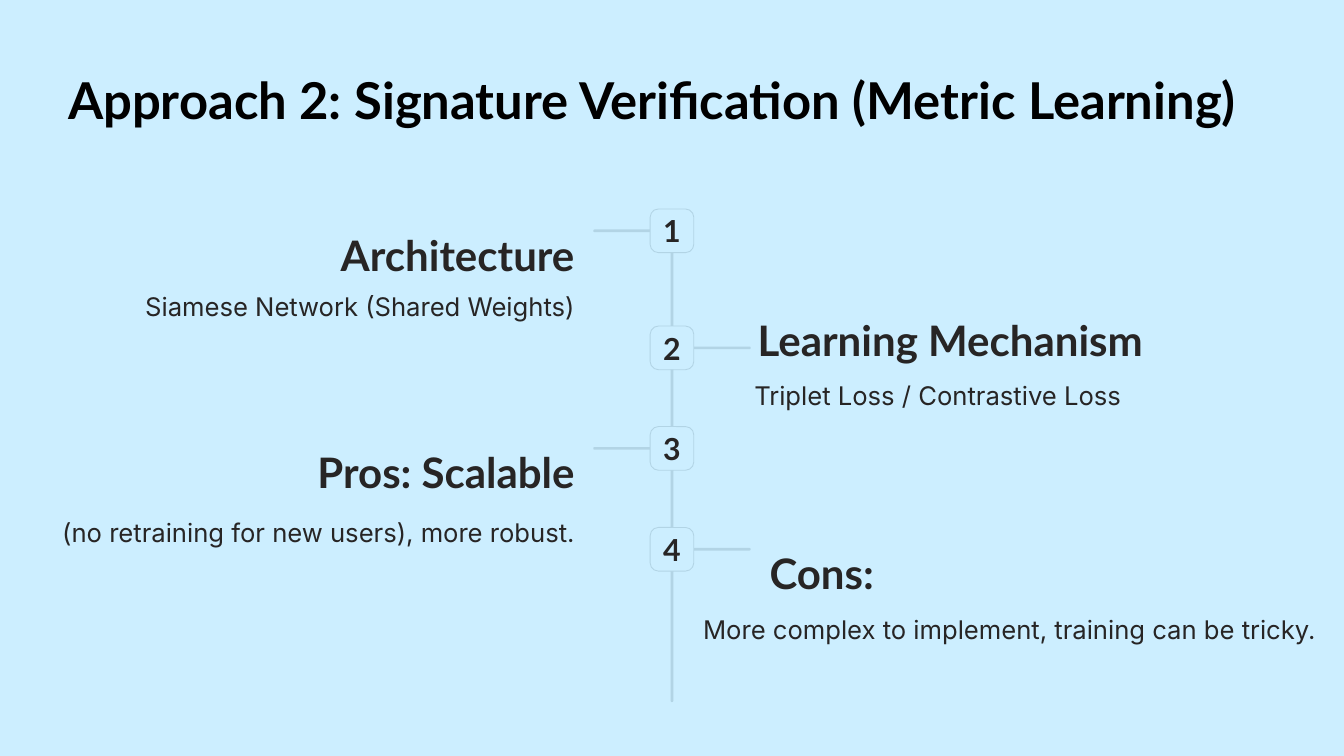
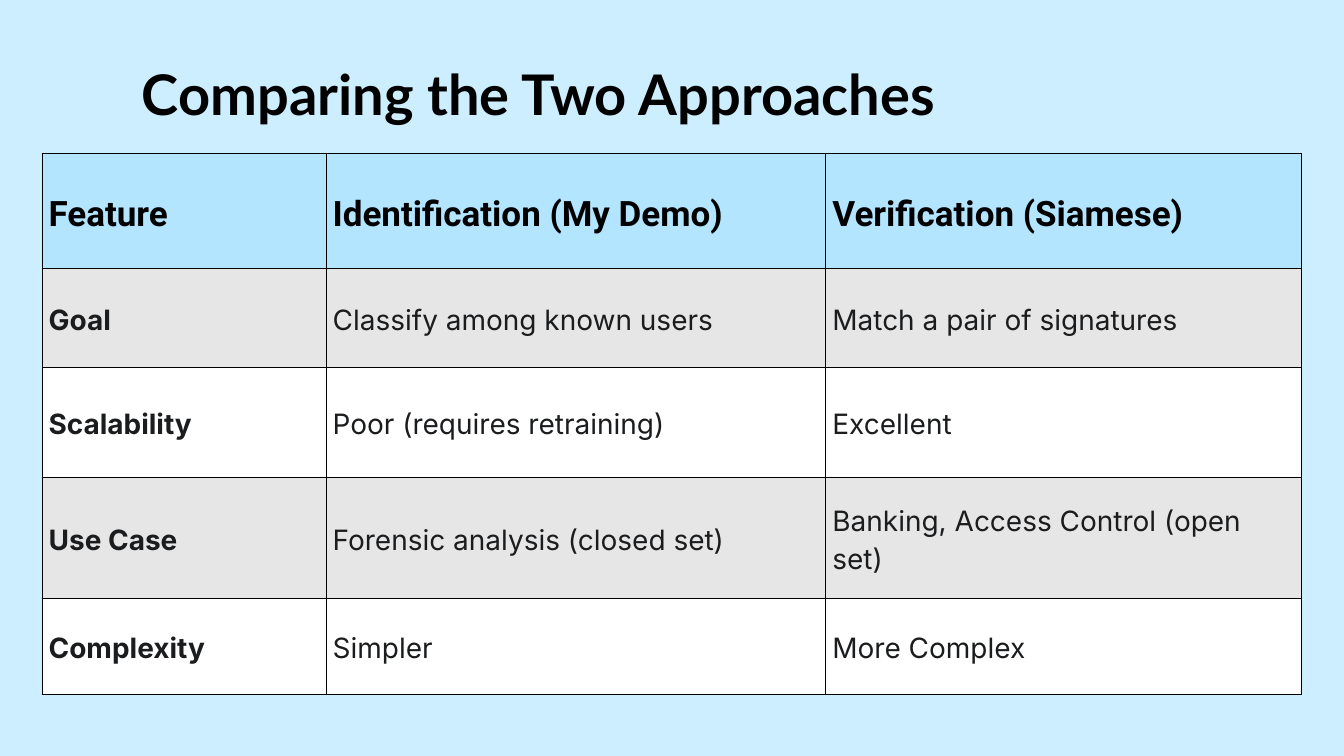
from dataclasses import dataclass

from lxml.etree import SubElement
from pptx import Presentation
from pptx.dml.color import RGBColor
from pptx.enum.shapes import MSO_SHAPE
from pptx.enum.text import MSO_ANCHOR, PP_ALIGN
from pptx.oxml.ns import qn
from pptx.util import Cm, Pt

COLORS = {
    "background": "CCEEFF",
    "rule": "B2D4E5",
    "title": "000000",
    "text": "272525",
    "header": "B3E5FF",
    "band": "E7E6E6",
    "plain": "FFFFFF",
    "cell_text": "1A1C1E",
    "border": "000000",
}


@dataclass(frozen=True)
class Area:
    """A rectangle in centimetres."""
    left: float
    top: float
    width: float
    height: float

    def lengths(self) -> tuple:
        return Cm(self.left), Cm(self.top), Cm(self.width), Cm(self.height)


@dataclass(frozen=True)
class TextStyle:
    font: str
    size: float
    color: str
    bold: bool = False
    spacing: float | None = None


@dataclass(frozen=True)
class Step:
    badge_top: float
    on_left: bool
    heading: str
    heading_area: Area
    detail: str
    detail_area: Area


NUMBER = TextStyle("Lato", 26, "text", True)
HEADING = TextStyle("Lato", 36, "text", True, 1.26)
DETAIL = TextStyle("Inter", 22, "text", False, 1.61)
TABLE_HEADER = TextStyle("Roboto", 30, "title", True, 1.15)
ROW_LABEL = TextStyle("Inter", 24, "cell_text", True, 1.15)
ROW_VALUE = TextStyle("Inter", 24, "cell_text", False, 1.15)

PAGE_WIDTH, PAGE_HEIGHT = 40.64, 22.86
CENTER = PAGE_WIDTH / 2
BADGE_SIZE = 1.32
RULE = 0.08
ARM_LENGTH = 1.78
ARM_OVERLAP = 0.06

STEPS = [
    Step(6.32, True, "Architecture", Area(9.65, 6.53, 7.72, 0.97),
         "Siamese Network (Shared Weights)", Area(2.06, 8.23, 15.32, 1.52)),
    Step(9.86, False, "Learning Mechanism", Area(22.91, 9.12, 16.79, 0.97),
         "Triplet Loss / Contrastive Loss", Area(22.81, 10.92, 15.32, 1.52)),
    Step(12.9, True, "Pros: Scalable", Area(3.33, 13.11, 14.05, 0.97),
         "(no retraining for new users), more robust.", Area(-0.53, 15.06, 17.91, 1.52)),
    Step(15.95, False, "Cons:", Area(23.27, 16.15, 7.72, 0.97),
         "More complex to implement, training can be tricky.", Area(21.26, 18.01, 19.02, 2.31)),
]

COLUMN_WIDTHS = [8.59, 15.11, 14.38]
ROW_HEIGHTS = [3.48, 2.97, 3.33, 3.66, 2.9]
COMPARISON = [
    ["Feature", "Identification (My Demo)", "Verification (Siamese)"],
    ["Goal", "Classify among known users", "Match a pair of signatures"],
    ["Scalability", "Poor (requires retraining)", "Excellent"],
    ["Use Case", "Forensic analysis (closed set)", "Banking, Access Control (open set)"],
    ["Complexity", "Simpler", "More Complex"],
]


def rgb(name: str) -> RGBColor:
    return RGBColor.from_string(COLORS[name])


def write(frame, text: str, style: TextStyle, align=PP_ALIGN.LEFT) -> None:
    para = frame.paragraphs[0]
    para.text = text
    para.alignment = align
    if style.spacing:
        para.line_spacing = style.spacing
    para.font.name = style.font
    para.font.size = Pt(style.size)
    para.font.bold = style.bold
    para.font.color.rgb = rgb(style.color)


def clear_margins(frame) -> None:
    frame.margin_left = frame.margin_right = frame.margin_top = frame.margin_bottom = 0


def add_text(page, area: Area, text: str, style: TextStyle, align=PP_ALIGN.LEFT) -> None:
    frame = page.shapes.add_textbox(*area.lengths()).text_frame
    frame.word_wrap = True
    clear_margins(frame)
    write(frame, text, style, align)


def add_title(page, area: Area, text: str, size: float) -> None:
    add_text(page, area, text, TextStyle("Lato", size, "title", True, 1.25))


def add_rounded(page, area: Area, fill: str, rounding: float):
    shape = page.shapes.add_shape(MSO_SHAPE.ROUNDED_RECTANGLE, *area.lengths())
    shape.adjustments[0] = rounding
    shape.shadow.inherit = False
    shape.fill.solid()
    shape.fill.fore_color.rgb = rgb(fill)
    shape.line.fill.background()
    return shape


def add_step(page, number: int, step: Step) -> None:
    """Draw the arm, the numbered badge and the two texts of a step."""
    half = BADGE_SIZE / 2
    reach = half - ARM_OVERLAP
    arm_left = CENTER - reach - ARM_LENGTH if step.on_left else CENTER + reach
    arm_top = step.badge_top + half - RULE / 2
    add_rounded(page, Area(arm_left, arm_top, ARM_LENGTH, RULE), "rule", 0.5)

    badge_area = Area(CENTER - half, step.badge_top, BADGE_SIZE, BADGE_SIZE)
    badge = add_rounded(page, badge_area, "background", 0.19)
    badge.line.color.rgb = rgb("rule")
    badge.line.width = Pt(0.75)
    clear_margins(badge.text_frame)
    badge.text_frame.vertical_anchor = MSO_ANCHOR.MIDDLE
    write(badge.text_frame, str(number), NUMBER, PP_ALIGN.CENTER)

    align = PP_ALIGN.RIGHT if step.on_left else PP_ALIGN.LEFT
    add_text(page, step.heading_area, step.heading, HEADING, align)
    add_text(page, step.detail_area, step.detail, DETAIL, align)


def add_borders(cell) -> None:
    properties = cell._tc.get_or_add_tcPr()
    for side in ("a:lnL", "a:lnR", "a:lnT", "a:lnB"):
        line = SubElement(properties, qn(side), w=str(Pt(1)))
        fill = SubElement(line, qn("a:solidFill"))
        SubElement(fill, qn("a:srgbClr"), val=COLORS["border"])


def fill_cell(cell, text: str, style: TextStyle, fill: str) -> None:
    add_borders(cell)
    cell.fill.solid()
    cell.fill.fore_color.rgb = rgb(fill)
    cell.margin_left = cell.margin_right = Cm(0.2)
    cell.margin_top = cell.margin_bottom = Cm(0.05)
    cell.vertical_anchor = MSO_ANCHOR.MIDDLE
    write(cell.text_frame, text, style)


def add_comparison(page) -> None:
    area = Area(1.27, 4.65, sum(COLUMN_WIDTHS), sum(ROW_HEIGHTS))
    table = page.shapes.add_table(len(ROW_HEIGHTS), len(COLUMN_WIDTHS), *area.lengths()).table
    for column, width in zip(table.columns, COLUMN_WIDTHS):
        column.width = Cm(width)
    for row, height in zip(table.rows, ROW_HEIGHTS):
        row.height = Cm(height)
    for row_index, texts in enumerate(COMPARISON):
        for column_index, text in enumerate(texts):
            if row_index == 0:
                style, fill = TABLE_HEADER, "header"
            else:
                style = ROW_VALUE if column_index else ROW_LABEL
                fill = "band" if row_index % 2 else "plain"
            fill_cell(table.cell(row_index, column_index), text, style, fill)


def add_page(deck):
    page = deck.slides.add_slide(deck.slide_layouts[6])
    page.background.fill.solid()
    page.background.fill.fore_color.rgb = rgb("background")
    return page


def build_verification(deck) -> None:
    page = add_page(deck)
    add_title(page, Area(2.06, 1.63, 37.41, 1.93),
              "Approach 2: Signature Verification (Metric Learning)", 43.5)
    spine = Area(CENTER - RULE / 2, STEPS[0].badge_top, RULE, 14.91)
    add_rounded(page, spine, "rule", 0.5)
    for number, step in enumerate(STEPS, start=1):
        add_step(page, number, step)


def build_comparison(deck) -> None:
    page = add_page(deck)
    add_title(page, Area(4.29, 1.3, 24.84, 1.6), "Comparing the Two Approaches", 48)
    add_comparison(page)


def main() -> None:
    deck = Presentation()
    deck.slide_width, deck.slide_height = Cm(PAGE_WIDTH), Cm(PAGE_HEIGHT)
    build_verification(deck)
    build_comparison(deck)
    deck.save("out.pptx")


if __name__ == "__main__":
    main()
